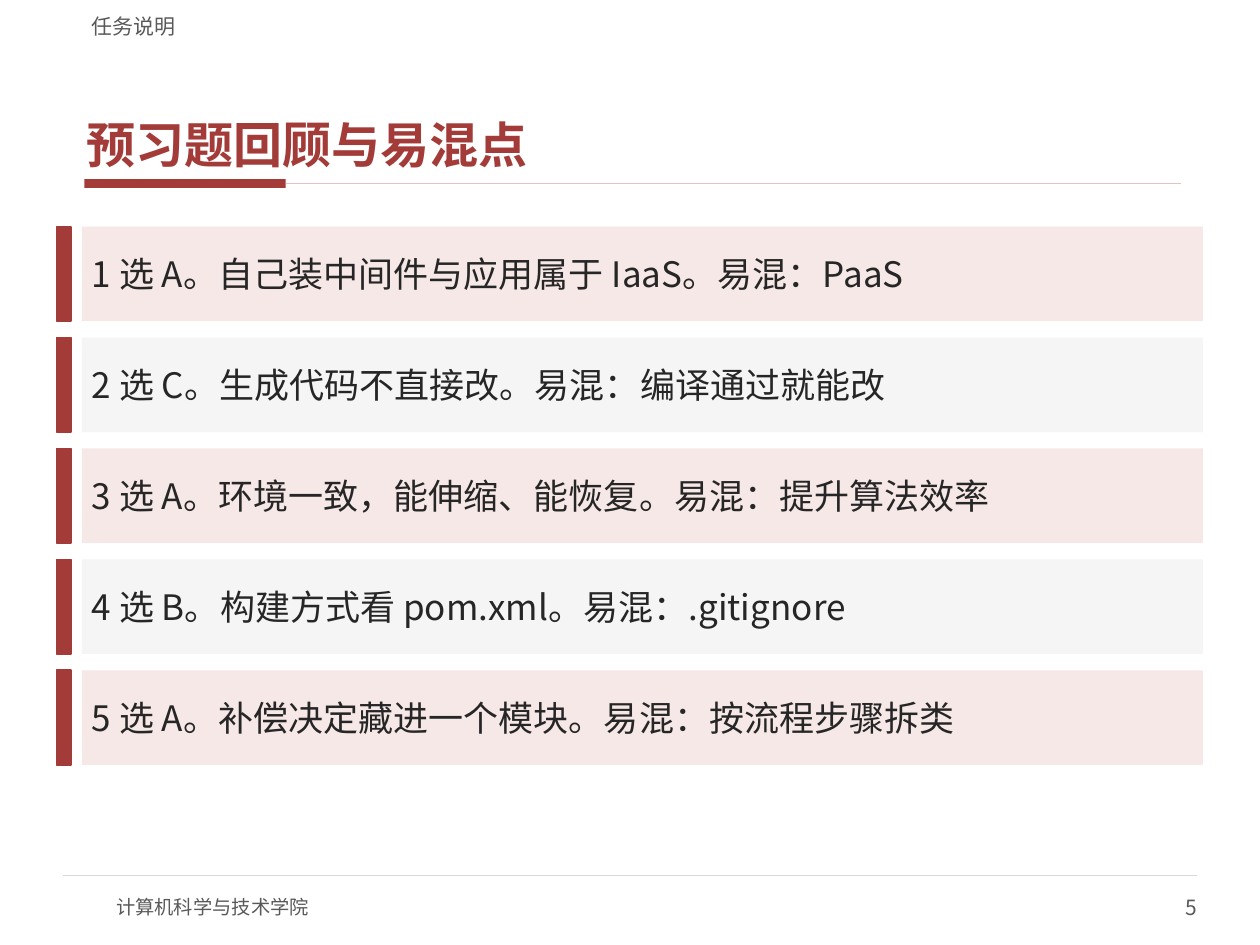
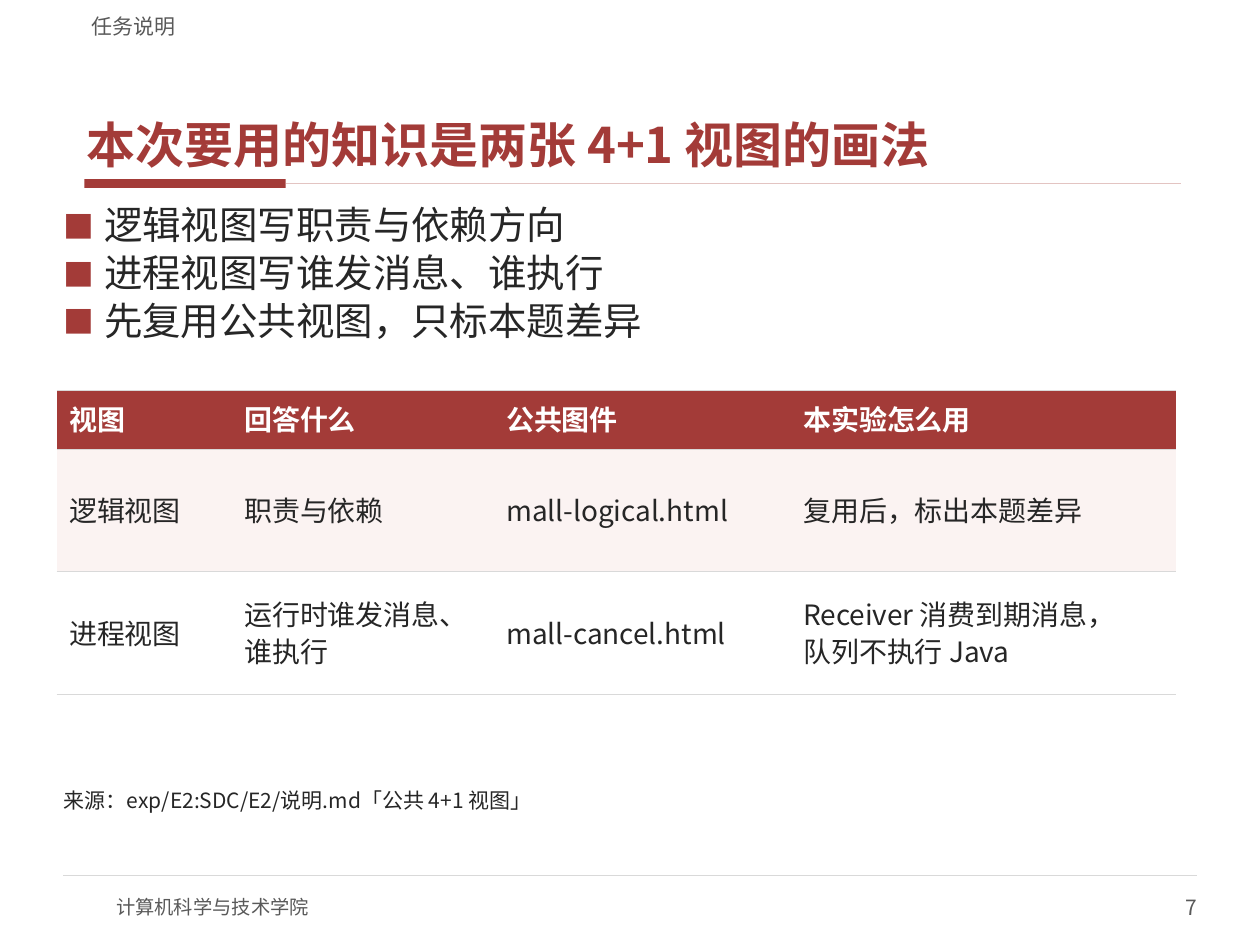
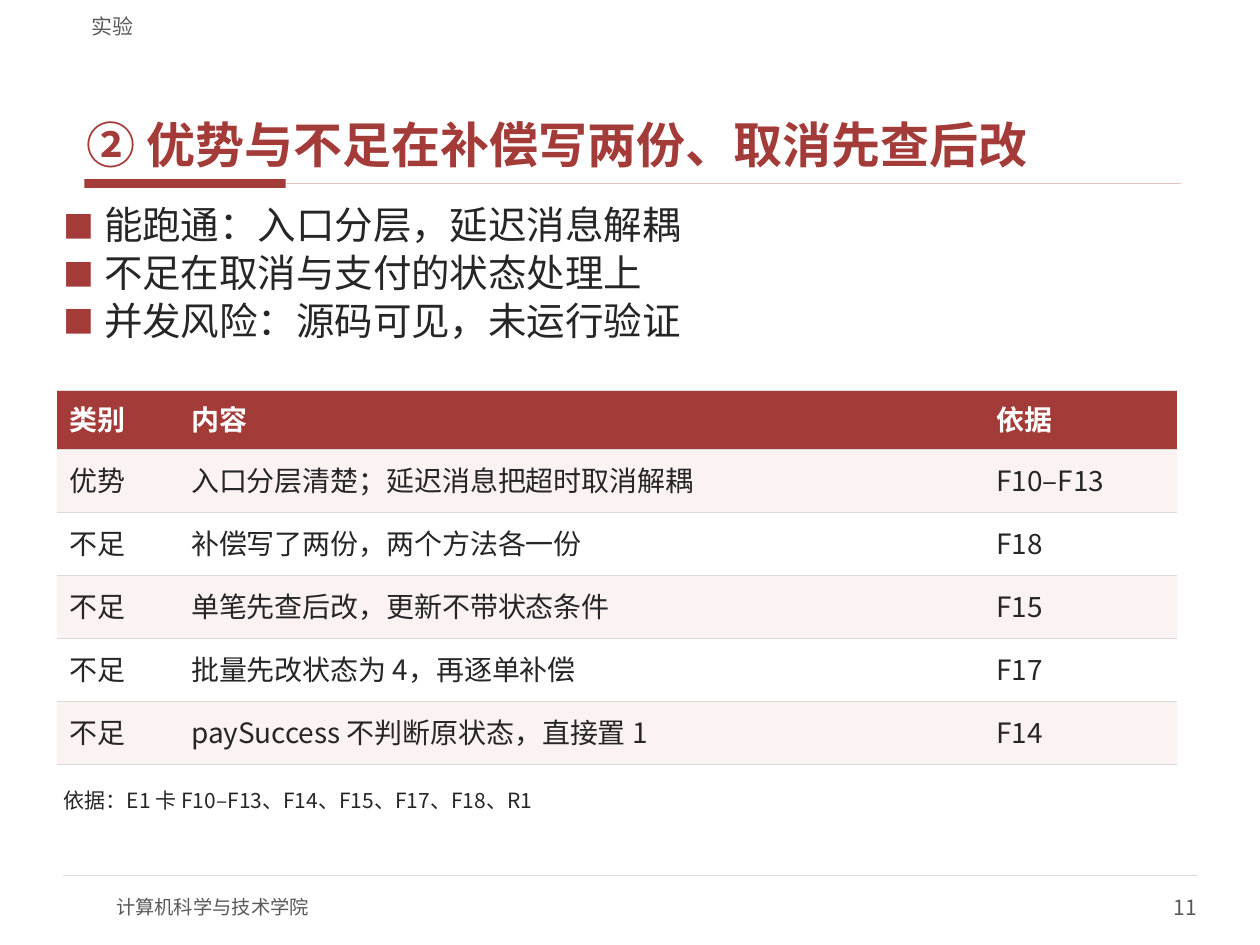
from itertools import cycle

from lxml import etree
from pptx import Presentation
from pptx import util as u
from pptx.dml import color
from pptx.enum import shapes, text
from pptx.oxml import ns

FONT = "Noto Sans CJK SC"
HUE = {
    "red": "A33B38", "rose": "E3C4C2", "blush": "F6E8E6", "tint": "FBF3F2",
    "gray": "F5F5F5", "rule": "D9D9D9", "ink": "262626", "mute": "595959",
    "white": "FFFFFF",
}
PAD = (0.15, 0.05, 0.15, 0.05)
NONE = (0, 0, 0, 0)
MID, END = text.MSO_ANCHOR.MIDDLE, text.MSO_ANCHOR.BOTTOM


def rgb(name):
    return color.RGBColor.from_string(HUE[name])


def cm(box):
    return [u.Cm(v) for v in box]


def add(node, tag, **attrs):
    return etree.SubElement(node, ns.qn(tag), attrs)


def style(par, size, hue, bold=False, lead=None):
    if lead:
        par.line_spacing = lead
    for run in par.runs:
        font = run.font
        font.size, font.bold, font.name = u.Pt(size), bold, FONT
        font.color.rgb = rgb(hue)
        add(run.font._element, "a:ea", typeface=FONT)


def write(frame, words, size, hue, anchor=None, pad=PAD, **looks):
    """Fill a text frame and return its paragraphs."""
    frame.word_wrap = True
    frame.vertical_anchor = anchor or text.MSO_ANCHOR.TOP
    (frame.margin_left, frame.margin_top,
     frame.margin_right, frame.margin_bottom) = cm(pad)
    frame.text = words
    for par in frame.paragraphs:
        style(par, size, hue, **looks)
    return frame.paragraphs


def label(slide, box, *args, **looks):
    return write(slide.shapes.add_textbox(*cm(box)).text_frame, *args, **looks)


def block(slide, box, hue, edge=False):
    rect = slide.shapes.add_shape(shapes.MSO_SHAPE.RECTANGLE, *cm(box))
    rect.shadow.inherit = False
    rect.fill.solid()
    rect.fill.fore_color.rgb = rgb(hue)
    if edge:
        rect.line.color.rgb = rgb(hue)
        rect.line.width = u.Pt(1)
    else:
        rect.line.fill.background()
    return rect


def rule(slide, left, right, top, hue, width):
    line = slide.shapes.add_connector(
        shapes.MSO_CONNECTOR.STRAIGHT, *cm((left, top, right, top)))
    line.line.color.rgb = rgb(hue)
    line.line.width = u.Pt(width)
    add(line._element.spPr, "a:effectLst")
    return line


def head(slide, box, part, title):
    """Section name, title and the two-part underline."""
    x, y, w, h = box
    label(slide, (x, y, w, 0.69), part, 12, "mute", END, (0.25, 0, 0.25, 0))
    label(slide, (x, y + 0.74, w, 2.67), title, 28, "red", END,
          (0.15, 0.05, 0.15, 0), bold=True, lead=0.9)
    bar = block(slide, (x + 0.1, y + h - 0.18, 4.06, 0.18), "red")
    line = rule(slide, x + 4.16, x + w, y + h - 0.09, "rose", 1)
    line.begin_connect(bar, 3)


def foot(slide, box, page):
    x, y, w, h = box
    rule(slide, x, x + w, y, "rule", 0.75)
    label(slide, (x + 1.07, y + 0.13, 10.16, h), "计算机科学与技术学院",
          11, "mute", MID, NONE)
    num = label(slide, (x + w - 5.08, y + 0.13, 5.08, h), str(page),
                12, "mute", MID, NONE)
    num[0].alignment = text.PP_ALIGN.RIGHT


def cards(slide, box, items, gap=0.33):
    """Stack of equal answer rows, each with a red tab."""
    x, y, w, h = box
    tall = (h - gap * (len(items) - 1)) / len(items)
    for i, (item, hue) in enumerate(zip(items, cycle(("blush", "gray")))):
        top = y + i * (tall + gap)
        block(slide, (x, top, 0.3, tall), "red", edge=True)
        card = block(slide, (x + 0.51, top, w - 0.51, tall), hue)
        par = write(card.text_frame, item, 20, "ink", MID, (0.2, 0.1, 0.2, 0.1))
        par[0].alignment = text.PP_ALIGN.LEFT


def points(slide, box, items):
    for i, par in enumerate(label(slide, box, "\n".join(items), 22, "ink",
                                  lead=0.9)):
        prop = par._p.get_or_add_pPr()
        prop.set("marL", str(u.Cm(0.81)))
        prop.set("indent", str(-u.Cm(0.81)))
        add(add(prop, "a:buClr"), "a:srgbClr", val=HUE["red"])
        add(prop, "a:buSzPct", val="80000")
        add(prop, "a:buFont", typeface=FONT)
        add(prop, "a:buChar", char="■")
        if i:
            par.space_before = u.Pt(3.6)


def edges(cell):
    """Thin lines above and below, none at the sides."""
    prop = cell._tc.get_or_add_tcPr()
    for spot, side in enumerate(("a:lnL", "a:lnR", "a:lnT", "a:lnB")):
        line = etree.Element(ns.qn(side), w=str(u.Pt(0.75)))
        if spot < 2:
            add(line, "a:noFill")
        else:
            add(add(line, "a:solidFill"), "a:srgbClr", val=HUE["rule"])
        prop.insert(spot, line)


def grid(slide, box, cols, rows, top=1.19):
    """Table with a red head row and striped body rows."""
    tab = slide.shapes.add_table(len(rows), len(cols), *cm(box)).table
    for col, wide in zip(tab.columns, cols):
        col.width = u.Cm(wide)
    tall = (box[3] - top) / (len(rows) - 1)
    for r, row in enumerate(rows):
        tab.rows[r].height = u.Cm(tall if r else top)
        fill = ("white", "tint")[r % 2] if r else "red"
        for c, words in enumerate(row):
            cell = tab.cell(r, c)
            cell.text = words
            cell.vertical_anchor = MID
            cell.fill.solid()
            cell.fill.fore_color.rgb = rgb(fill)
            edges(cell)
            style(cell.text_frame.paragraphs[0], 16,
                  "ink" if r else "white", bold=not r, lead=0.9)


def start(deck, part, title, page):
    slide = deck.slides.add_slide(deck.slide_layouts[6])
    head(slide, (1.6, 0.1, 22.2, 3.69), part, title)
    foot(slide, (1.27, 17.65, 22.86, 1.02), page)
    return slide


def study(slide, box, items, cols, rows, tall, note):
    """Bullets over a table over a source note."""
    x, y, w, h = box
    points(slide, (x, y, w, 3.48), items)
    grid(slide, (x, y + 3.76, sum(cols), tall), cols, rows)
    label(slide, (x, y + h - 0.81, w, 0.81), note, 12, "ink")


def main():
    deck = Presentation()
    deck.slide_width, deck.slide_height = u.Cm(25.4), u.Cm(19.05)
    body = (1.14, 4.11, 23.11, 12.52)

    slide = start(deck, "任务说明", "预习题回顾与易混点", 5)
    cards(slide, (1.14, 4.57, 23.11, 10.85), [
        "1 选 A。自己装中间件与应用属于 IaaS。易混：PaaS",
        "2 选 C。生成代码不直接改。易混：编译通过就能改",
        "3 选 A。环境一致，能伸缩、能恢复。易混：提升算法效率",
        "4 选 B。构建方式看 pom.xml。易混：.gitignore",
        "5 选 A。补偿决定藏进一个模块。易混：按流程步骤拆类",
    ])

    slide = start(deck, "任务说明", "本次要用的知识是两张 4+1 视图的画法", 7)
    study(slide, body, [
        "逻辑视图写职责与依赖方向",
        "进程视图写谁发消息、谁执行",
        "先复用公共视图，只标本题差异",
    ], (3.53, 5.28, 5.99, 7.77), [
        ("视图", "回答什么", "公共图件", "本实验怎么用"),
        ("逻辑视图", "职责与依赖", "mall-logical.html", "复用后，标出本题差异"),
        ("进程视图", "运行时谁发消息、谁执行", "mall-cancel.html",
         "Receiver 消费到期消息，\v队列不执行 Java"),
    ], 6.13, "来源：exp/E2:SDC/E2/说明.md「公共 4+1 视图」")

    slide = start(deck, "实验", "② 优势与不足在补偿写两份、取消先查后改", 11)
    study(slide, body, [
        "能跑通：入口分层，延迟消息解耦",
        "不足在取消与支付的状态处理上",
        "并发风险：源码可见，未运行验证",
    ], (2.46, 16.23, 3.89), [
        ("类别", "内容", "依据"),
        ("优势", "入口分层清楚；延迟消息把超时取消解耦", "F10–F13"),
        ("不足", "补偿写了两份，两个方法各一份", "F18"),
        ("不足", "单笔先查后改，更新不带状态条件", "F15"),
        ("不足", "批量先改状态为 4，再逐单补偿", "F17"),
        ("不足", "paySuccess 不判断原状态，直接置 1", "F14"),
    ], 7.54, "依据：E1 卡 F10–F13、F14、F15、F17、F18、R1")

    deck.save("out.pptx")


if __name__ == "__main__":
    main()
